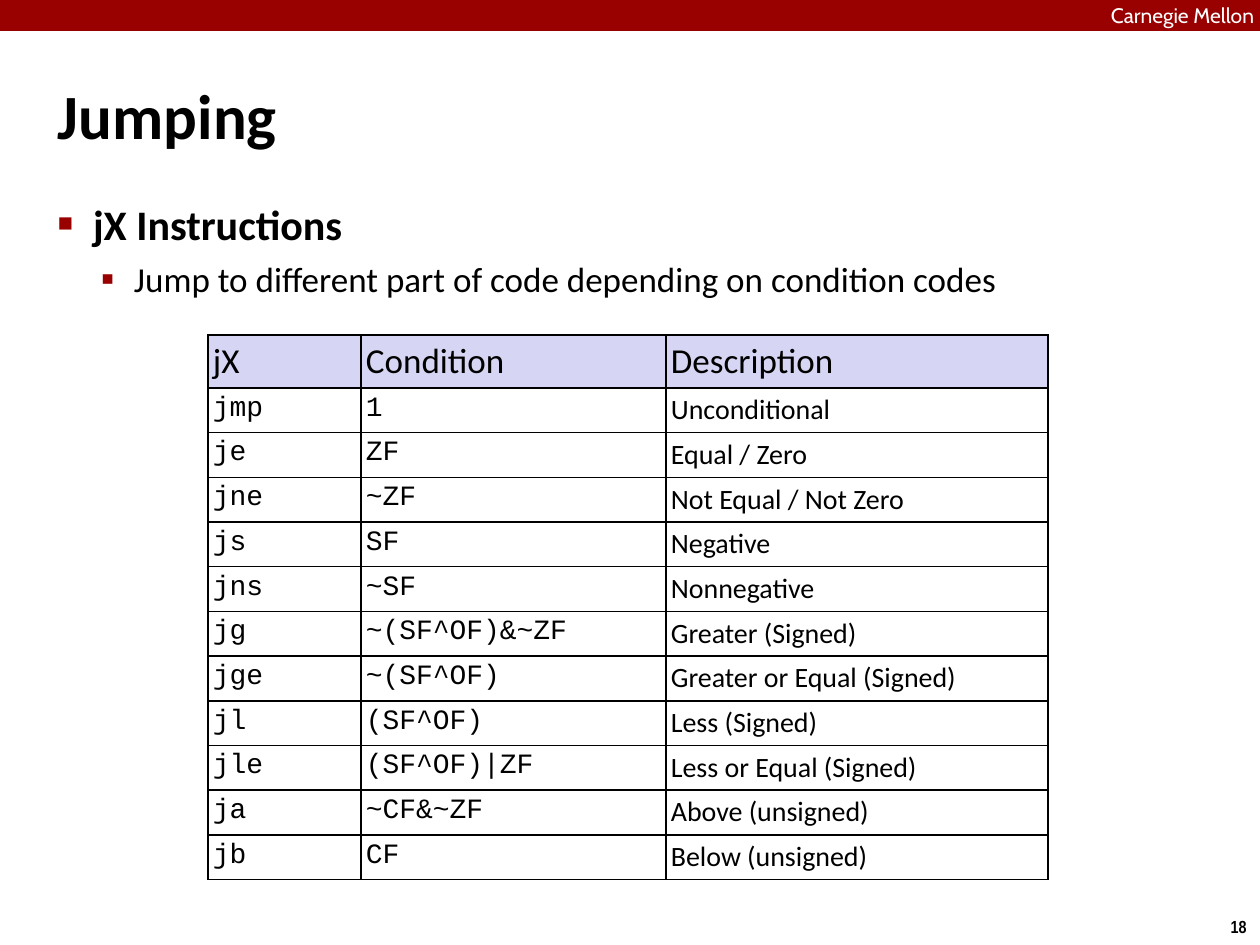
import pptx
import pptx.dml.color
import pptx.enum.shapes
import pptx.enum.text
import pptx.oxml
import pptx.oxml.ns
import pptx.util

RGBColor = pptx.dml.color.RGBColor
PP_ALIGN = pptx.enum.text.PP_ALIGN
MSO_ANCHOR = pptx.enum.text.MSO_ANCHOR

BLACK = RGBColor(0x00, 0x00, 0x00)
WHITE = RGBColor(0xFF, 0xFF, 0xFF)
RED = RGBColor(0x99, 0x00, 0x00)
LILAC = RGBColor(0xD6, 0xD6, 0xF4)

TITLE = "Jumping"
SCHOOL = "Carnegie Mellon"
PAGE = "18"
# text, bullet, bullet size %, left margin, hanging indent, space before, size, bold
BULLETS = [
    ("jX Instructions", "■", 60, 35, 35, 0, 24, True),
    ("Jump to different part of code depending on condition codes",
     "▪", 110, 76, 33, 5, 20, False),
]
HEADER = ("jX", "Condition", "Description")
JUMPS = [
    ("jmp", "1", "Unconditional"),
    ("je", "ZF", "Equal / Zero"),
    ("jne", "~ZF", "Not Equal / Not Zero"),
    ("js", "SF", "Negative"),
    ("jns", "~SF", "Nonnegative"),
    ("jg", "~(SF^OF)&~ZF", "Greater (Signed)"),
    ("jge", "~(SF^OF)", "Greater or Equal (Signed)"),
    ("jl", "(SF^OF)", "Less (Signed)"),
    ("jle", "(SF^OF)|ZF", "Less or Equal (Signed)"),
    ("ja", "~CF&~ZF", "Above (unsigned)"),
    ("jb", "CF", "Below (unsigned)"),
]
COL_WIDTHS = (153, 305, 382)
COL_FONTS = ("Courier New", "Courier New", "Calibri")
HEADER_H, JUMPS_H = 53, 492
INSET = 5
PX = 914400 / 126


def px(n):
    return pptx.util.Emu(round(n * PX))


def box(*edges):
    return [px(n) for n in edges]


def set_insets(target, n):
    target.margin_left = target.margin_right = px(n)
    target.margin_top = target.margin_bottom = px(n)


def add_run(p, text, size, font, color=BLACK, bold=False):
    r = p.add_run()
    r.text = text
    r.font.size = pptx.util.Pt(size)
    r.font.name = font
    r.font.color.rgb = color
    r.font.bold = bold


def add_bullet(p, char, percent, margin, hanging):
    pPr = p._p.get_or_add_pPr()
    pPr.set("marL", str(px(margin)))
    pPr.set("indent", str(-px(hanging)))
    ns = pptx.oxml.ns.nsdecls("a")
    for xml in (f'<a:buClr {ns}><a:srgbClr val="{RED}"/></a:buClr>',
                f'<a:buSzPct {ns} val="{percent * 1000}"/>',
                f'<a:buFont {ns} typeface="Arial"/>',
                f'<a:buChar {ns} char="{char}"/>'):
        pPr.append(pptx.oxml.parse_xml(xml))


def add_borders(cell):
    """Draw a 1 pt black line on all four sides; call before setting the fill."""
    tcPr = cell._tc.get_or_add_tcPr()
    ns = pptx.oxml.ns.nsdecls("a")
    for side in ("lnL", "lnR", "lnT", "lnB"):
        tcPr.append(pptx.oxml.parse_xml(
            f'<a:{side} {ns} w="12700"><a:solidFill><a:srgbClr val="{BLACK}"/>'
            f'</a:solidFill></a:{side}>'))


def add_banner(s):
    bar = s.shapes.add_shape(pptx.enum.shapes.MSO_SHAPE.RECTANGLE, *box(0, 0, 1260, 31))
    bar.shadow.inherit = False
    bar.fill.solid()
    bar.fill.fore_color.rgb = RED
    bar.line.fill.background()
    tf = s.shapes.add_textbox(*box(1111, 3, 149, 24)).text_frame
    set_insets(tf, 0)
    add_run(tf.paragraphs[0], SCHOOL, 12, "Cabin", WHITE)


def add_title(s):
    title = s.shapes.title
    title.left, title.top, title.width, title.height = box(53, 35, 1155, 158)
    tf = title.text_frame
    tf.auto_size = pptx.enum.text.MSO_AUTO_SIZE.NONE
    tf.vertical_anchor = MSO_ANCHOR.MIDDLE
    set_insets(tf, INSET)
    p = tf.paragraphs[0]
    p.alignment = PP_ALIGN.LEFT
    add_run(p, TITLE, 36, "Calibri", bold=True)


def add_body(s):
    tf = s.shapes.add_textbox(*box(53, 193, 1155, 118)).text_frame
    tf.word_wrap = True
    set_insets(tf, INSET)
    for i, (text, char, percent, margin, hanging, before, size, bold) in enumerate(BULLETS):
        p = tf.add_paragraph() if i else tf.paragraphs[0]
        p.level = i
        add_bullet(p, char, percent, margin, hanging)
        p.space_before = pptx.util.Pt(before)
        add_run(p, text, size, "Calibri", bold=bold)


def add_jump_table(s):
    rows = [HEADER] + JUMPS
    frame = s.shapes.add_table(len(rows), len(HEADER), *box(
        208, 335, sum(COL_WIDTHS), HEADER_H + JUMPS_H))
    table = frame.table
    for col, width in zip(table.columns, COL_WIDTHS):
        col.width = px(width)
    for i, texts in enumerate(rows):
        is_header = i == 0
        table.rows[i].height = px(HEADER_H if is_header else JUMPS_H / len(JUMPS))
        for j, text in enumerate(texts):
            cell = table.cell(i, j)
            set_insets(cell, INSET)
            add_borders(cell)
            cell.fill.solid()
            cell.fill.fore_color.rgb = LILAC if is_header else WHITE
            add_run(cell.text_frame.paragraphs[0], text, 20 if is_header else 16,
                    "Calibri" if is_header else COL_FONTS[j])


def add_page_number(s):
    tf = s.shapes.add_textbox(*box(1217, 910, 43, 34)).text_frame
    tf.word_wrap = False
    p = tf.paragraphs[0]
    p.alignment = PP_ALIGN.CENTER
    add_run(p, PAGE, 10, "Arial Narrow", bold=True)


def main():
    prs = pptx.Presentation()
    prs.slide_width, prs.slide_height = box(1260, 945)
    s = prs.slides.add_slide(prs.slide_layouts.get_by_name("Title Only"))
    add_page_number(s)
    add_banner(s)
    add_title(s)
    add_body(s)
    add_jump_table(s)
    prs.save("out.pptx")


if __name__ == "__main__":
    main()
